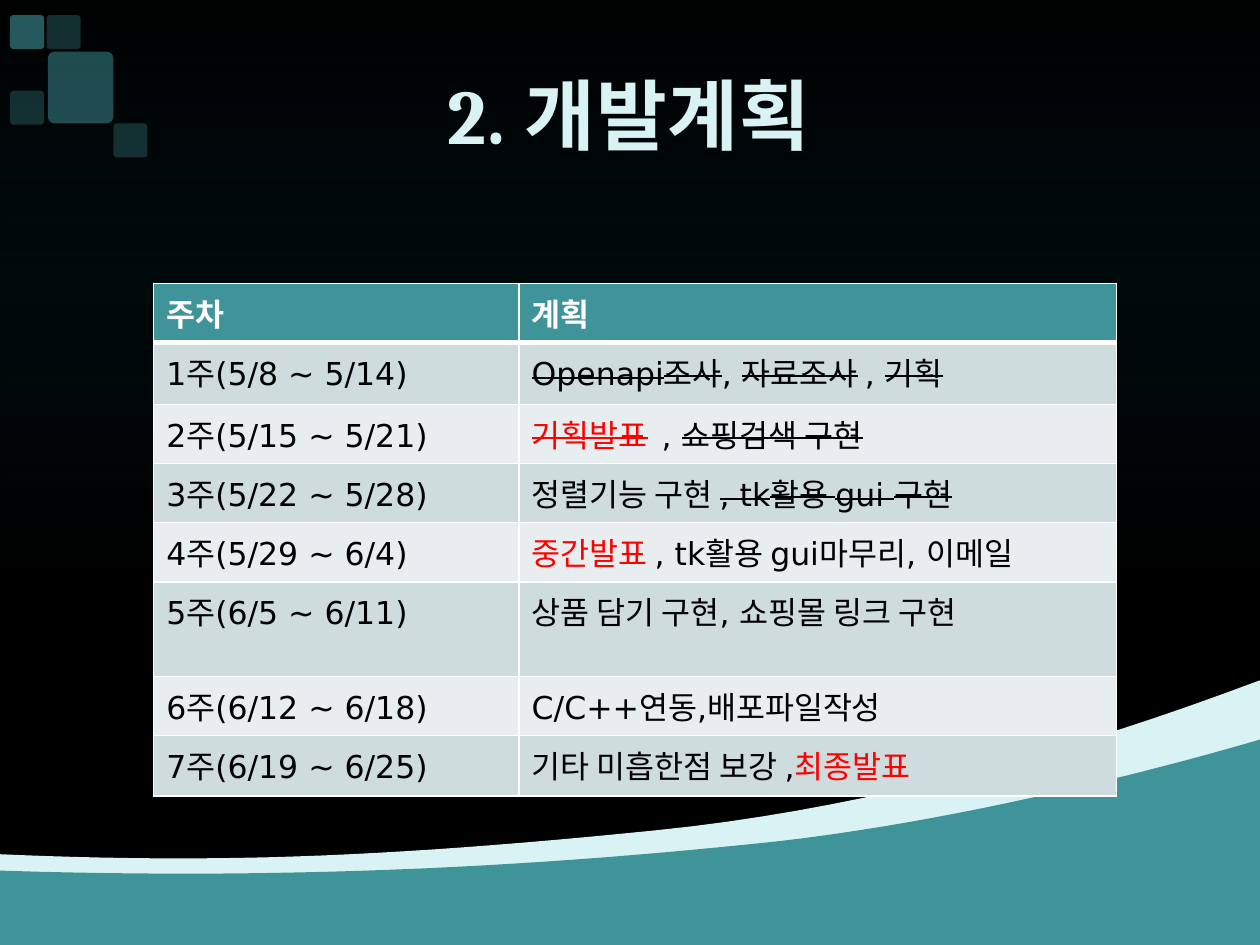
import pptx
import pptx.dml.color
import pptx.enum.shapes
import pptx.enum.text
import pptx.oxml
import pptx.oxml.ns
import pptx.util
from pptx.util import Inches

TEAL, PALE, WHITE, BLACK, RED = "3F949A", "D9F3F4", "FFFFFF", "000000", "FF0000"
BANDS = ["CFDCDE", "E8EEEF"]
BODY_FONT, TITLE_FONT = "DejaVu Sans", "Cambria"

PLAN = [
    ("1주(5/8 ~ 5/14)", [("Openapi조사", BLACK, True), (", ", BLACK, False),
                         ("자료조사", BLACK, True), (" , ", BLACK, False),
                         ("기획", BLACK, True)]),
    ("2주(5/15 ~ 5/21)", [("기획발표", RED, True), ("  , ", BLACK, False),
                          ("쇼핑검색 구현", BLACK, True)]),
    ("3주(5/22 ~ 5/28)", [("정렬기능 구현 ", BLACK, False),
                          (", tk활용 gui 구현", BLACK, True)]),
    ("4주(5/29 ~ 6/4)", [("중간발표 ", RED, False),
                         (", tk활용 gui마무리, 이메일", BLACK, False)]),
    ("5주(6/5 ~ 6/11)", [("상품 담기 구현, 쇼핑몰 링크 구현", BLACK, False)]),
    ("6주(6/12 ~ 6/18)", [("C/C++연동,배포파일작성", BLACK, False)]),
    ("7주(6/19 ~ 6/25)", [("기타 미흡한점 보강 ,", BLACK, False),
                          ("최종발표", RED, False)]),
]
ROW_HEIGHTS = [0.47, 0.49, 0.47, 0.47, 0.47, 0.75, 0.47, 0.48]


def rgb(color):
    return pptx.dml.color.RGBColor.from_string(color)


def xml(markup):
    head, rest = markup.split(" ", 1)
    return pptx.oxml.parse_xml(f"{head} {pptx.oxml.ns.nsdecls('a')} {rest}")


def gradient(stops):
    marks = "".join(
        f'<a:gs pos="{place * 1000}"><a:srgbClr val="{color}">'
        f'<a:alpha val="{opacity * 1000}"/></a:srgbClr></a:gs>'
        for place, color, opacity in stops)
    return xml(f'<a:gradFill rotWithShape="1"><a:gsLst>{marks}</a:gsLst>'
               '<a:lin ang="5400000" scaled="0"/></a:gradFill>')


def paint(shape, color, opacity=100):
    shape.shadow.inherit = False
    shape.line.fill.background()
    shape.fill.solid()
    shape.fill.fore_color.rgb = rgb(color)
    if opacity < 100:
        tint = shape.fill._xPr.find(".//" + pptx.oxml.ns.qn("a:srgbClr"))
        tint.append(xml(f'<a:alpha val="{opacity * 1000}"/>'))


def add_backdrop(slide, left, top, width, height):
    slide.background.fill.solid()
    slide.background.fill.fore_color.rgb = rgb(BLACK)
    veil = slide.shapes.add_shape(
        pptx.enum.shapes.MSO_SHAPE.RECTANGLE, left, top, width, height)
    paint(veil, BLACK)
    solid = veil._element.spPr.find(pptx.oxml.ns.qn("a:solidFill"))
    veil._element.spPr.replace(
        solid, gradient([(0, "005466", 0), (61, BLACK, 40)]))


def bezier(start, control_1, control_2, end, steps=24):
    for step in range(1, steps + 1):
        t = step / steps
        weights = ((1 - t) ** 3, 3 * t * (1 - t) ** 2, 3 * t * t * (1 - t), t ** 3)
        yield tuple(sum(w * p[axis] for w, p in
                        zip(weights, (start, control_1, control_2, end)))
                    for axis in (0, 1))


def add_wave(slide, left, top, width, height, color, crest):
    outline = [crest[0]]
    for first in range(0, len(crest) - 1, 3):
        outline += bezier(*crest[first:first + 4])
    points = [(left + Inches(x), top + Inches(y)) for x, y in outline]
    points += [(left + width, top + height), (left, top + height)]
    builder = slide.shapes.build_freeform(*points[0], scale=1.0)
    builder.add_line_segments(points[1:], close=True)
    paint(builder.convert_to_shape(), color)


def add_tiles(slide, left, top):
    small = 0.27
    tiles = [(0.29, 0, small, small, 30), (0, 0.6, small, small, 30),
             (0, 0, small, small, 60), (0.82, 0.86, small, small, 30),
             (0.3, 0.29, 0.52, 0.57, 50)]
    for x, y, width, height, opacity in tiles:
        tile = slide.shapes.add_shape(
            pptx.enum.shapes.MSO_SHAPE.ROUNDED_RECTANGLE,
            left + Inches(x), top + Inches(y), Inches(width), Inches(height))
        tile.adjustments[0] = 0.1
        paint(tile, TEAL, opacity)


def fill_cell(cell, runs, color, bold=False, top=1, bottom=1):
    cell.fill.solid()
    cell.fill.fore_color.rgb = rgb(color)
    borders = [("L", 1), ("R", 1), ("T", top), ("B", bottom)]
    for place, (side, points) in enumerate(borders):
        cell._tc.tcPr.insert(place, xml(
            f'<a:ln{side} w="{pptx.util.Pt(points)}"><a:solidFill>'
            f'<a:srgbClr val="{WHITE}"/></a:solidFill></a:ln{side}>'))
    for text, ink, struck in runs:
        run = cell.text_frame.paragraphs[0].add_run()
        run.text = text
        run.font.size = pptx.util.Pt(18)
        run.font.name = BODY_FONT
        run.font.bold = bold
        run.font.color.rgb = rgb(ink)
        if struck:
            run.font._element.set("strike", "sngStrike")


def add_plan(slide, left, top, width, height):
    schedule = slide.shapes.add_table(
        len(PLAN) + 1, 2, left, top, width, height).table
    schedule.columns[0].width = Inches(2.9)
    schedule.columns[1].width = width - Inches(2.9)
    for row, row_height in zip(schedule.rows, ROW_HEIGHTS):
        row.height = Inches(row_height)
    for column, heading in enumerate(["주차", "계획"]):
        fill_cell(schedule.cell(0, column), [(heading, WHITE, False)], TEAL,
                  bold=True, bottom=3)
    for number, (week, tasks) in enumerate(PLAN, 1):
        band = BANDS[(number - 1) % 2]
        for column, runs in enumerate([[(week, BLACK, False)], tasks]):
            fill_cell(schedule.cell(number, column), runs, band,
                      top=3 if number == 1 else 1)


def add_title(slide, left, top, width, height):
    title = slide.shapes.title
    title.left, title.top, title.width, title.height = left, top, width, height
    title.text_frame.vertical_anchor = pptx.enum.text.MSO_ANCHOR.MIDDLE
    heading = title.text_frame.paragraphs[0]
    heading.alignment = pptx.enum.text.PP_ALIGN.CENTER
    run = heading.add_run()
    run.text = "2. 개발계획"
    run.font.size = pptx.util.Pt(44)
    run.font.name = TITLE_FONT
    run.font.bold = True
    run.font._element.set("spc", "50")
    run.font._element.insert(0, gradient([
        (0, PALE, 100), (26, PALE, 100), (41, "CFE8E9", 100),
        (67, "A1B4B5", 100), (95, PALE, 100)]))
    slide.shapes._spTree.append(title._element)


def main():
    deck = pptx.Presentation()
    deck.slide_width, deck.slide_height = Inches(10), Inches(7.5)
    slide = deck.slides.add_slide(deck.slide_layouts[5])
    add_backdrop(slide, 0, 0, deck.slide_width, deck.slide_height)
    add_wave(slide, 0, Inches(5.4), Inches(10), Inches(2.1), PALE,
             [(0, 1.38), (1.61, 1.45), (2.93, 1.42), (5.21, 1.19),
              (7.49, 0.96), (9.48, 0.19), (10, 0)])
    add_wave(slide, 0, Inches(5.87), Inches(10), Inches(1.63), TEAL,
             [(0, 1.04), (2.46, 1.12), (4.45, 0.99), (6.15, 0.81),
              (7.84, 0.62), (9.59, 0.12), (10, 0)])
    add_tiles(slide, Inches(0.08), Inches(0.12))
    add_plan(slide, Inches(1.22), Inches(2.25), Inches(7.64), Inches(4.07))
    add_title(slide, Inches(0.91), Inches(0.36), Inches(8.17), Inches(1.09))
    deck.save("out.pptx")


if __name__ == "__main__":
    main()
